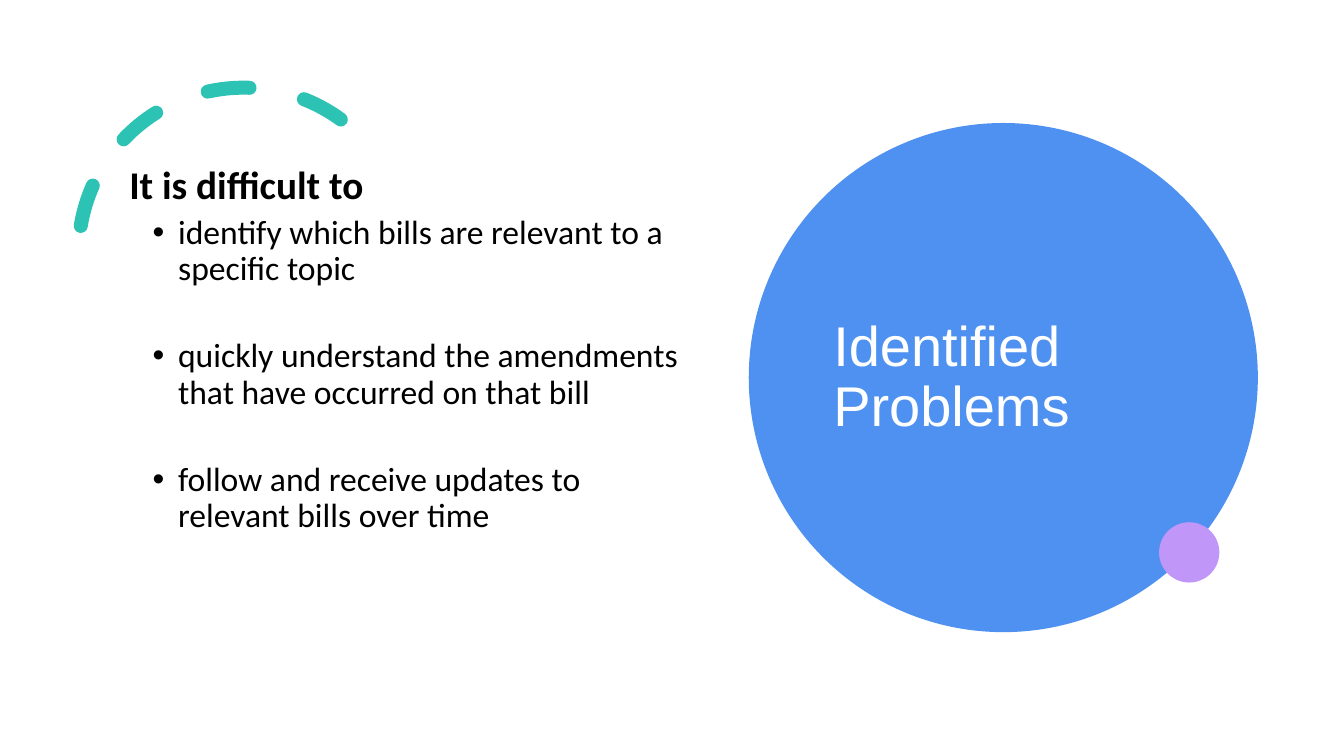
from dataclasses import dataclass

from lxml.etree import SubElement
from pptx import Presentation
from pptx.dml.color import RGBColor
from pptx.enum.dml import MSO_LINE
from pptx.enum.shapes import MSO_SHAPE
from pptx.enum.text import MSO_ANCHOR
from pptx.oxml.ns import qn
from pptx.shapes.autoshape import Shape
from pptx.slide import Slide
from pptx.util import Cm, Pt

WHITE = RGBColor(0xFF, 0xFF, 0xFF)
BLACK = RGBColor(0x00, 0x00, 0x00)
TEAL = RGBColor(0x2C, 0xC3, 0xB4)
BLUE = RGBColor(0x4E, 0x91, 0xF0)
LILAC = RGBColor(0xC0, 0x97, 0xF8)


@dataclass(frozen=True)
class Frame:
    left: float
    top: float
    width: float
    height: float

    def lengths(self) -> list[Cm]:
        return [Cm(value) for value in (self.left, self.top, self.width, self.height)]


@dataclass(frozen=True)
class Disc:
    frame: Frame
    color: RGBColor


@dataclass(frozen=True)
class Line:
    text: str
    font: dict
    margin: float = 0
    indent: float = 0
    space_before: float = 0
    bullet: str = ""


TITLE_FONT = {"name": "Arial", "size": Pt(40), "bold": False}
LEAD_FONT = {"name": "Calibri", "size": Pt(28), "bold": True}
ITEM_FONT = {"name": "Calibri", "size": Pt(24), "bold": False}

ARC = Frame(1.98, 2.21, 8.31, 8.31)
TITLE = Frame(20.75, 3.89, 8.99, 11.3)
BODY = Frame(2.34, 4.06, 15.37, 10.92)
BIG_DISC = Disc(Frame(18.87, 3.1, 12.83, 12.83), BLUE)
SMALL_DISC = Disc(Frame(29.21, 13.16, 1.52, 1.52), LILAC)

PROBLEMS = [
    "identify which bills are relevant to a specific topic",
    "quickly understand the amendments that have occurred on that bill",
    "follow and receive updates to relevant bills over time",
]
TITLE_LINES = [Line("Identified Problems", TITLE_FONT)]
BODY_LINES = [Line("It is difficult to", LEAD_FONT, indent=0.67, space_before=10)] + [
    Line(problem, ITEM_FONT, 1.9, -0.64, 36.4 if number else 5, "•")
    for number, problem in enumerate(PROBLEMS)
]


def add_dashed_arc(page: Slide, frame: Frame) -> None:
    arc = page.shapes.add_shape(MSO_SHAPE.ARC, *frame.lengths())
    arc.shadow.inherit = False
    arc.adjustments[0], arc.adjustments[1] = 158.17, 17.81
    arc.rotation = 29.8
    arc.fill.background()
    arc.line.color.rgb = TEAL
    arc.line.width = Pt(10)
    arc.line.dash_style = MSO_LINE.DASH
    arc.line._get_or_add_ln().set("cap", "rnd")
    arc._element.spPr.find(qn("a:xfrm")).set("flipH", "1")


def add_disc(page: Slide, disc: Disc) -> None:
    shape = page.shapes.add_shape(MSO_SHAPE.OVAL, *disc.frame.lengths())
    shape.shadow.inherit = False
    shape.fill.solid()
    shape.fill.fore_color.rgb = disc.color
    shape.line.fill.background()


def add_text(page: Slide, frame: Frame, lines: list[Line], color: RGBColor,
             anchor: MSO_ANCHOR) -> Shape:
    box = page.shapes.add_textbox(*frame.lengths())
    text_frame = box.text_frame
    text_frame.word_wrap = True
    text_frame.vertical_anchor = anchor
    for number, line in enumerate(lines):
        para = text_frame.add_paragraph() if number else text_frame.paragraphs[0]
        para.line_spacing = 0.9
        para.space_before = Pt(line.space_before)
        properties = para._p.get_or_add_pPr()
        properties.set("marL", str(Cm(line.margin)))
        properties.set("indent", str(Cm(line.indent)))
        if line.bullet:
            SubElement(properties, qn("a:buFont")).set("typeface", "Arial")
            SubElement(properties, qn("a:buChar")).set("char", line.bullet)
        span = para.add_run()
        span.text = line.text
        for name, value in line.font.items():
            setattr(span.font, name, value)
        span.font.color.rgb = color
    return box


def main() -> None:
    deck = Presentation()
    deck.slide_width, deck.slide_height = Cm(33.87), Cm(19.05)
    page = deck.slides.add_slide(deck.slide_layouts[6])
    page.background.fill.solid()
    page.background.fill.fore_color.rgb = WHITE
    add_dashed_arc(page, ARC)
    add_disc(page, BIG_DISC)
    add_text(page, TITLE, TITLE_LINES, WHITE, MSO_ANCHOR.MIDDLE)
    add_text(page, BODY, BODY_LINES, BLACK, MSO_ANCHOR.TOP)
    add_disc(page, SMALL_DISC)
    deck.save("out.pptx")


if __name__ == "__main__":
    main()
